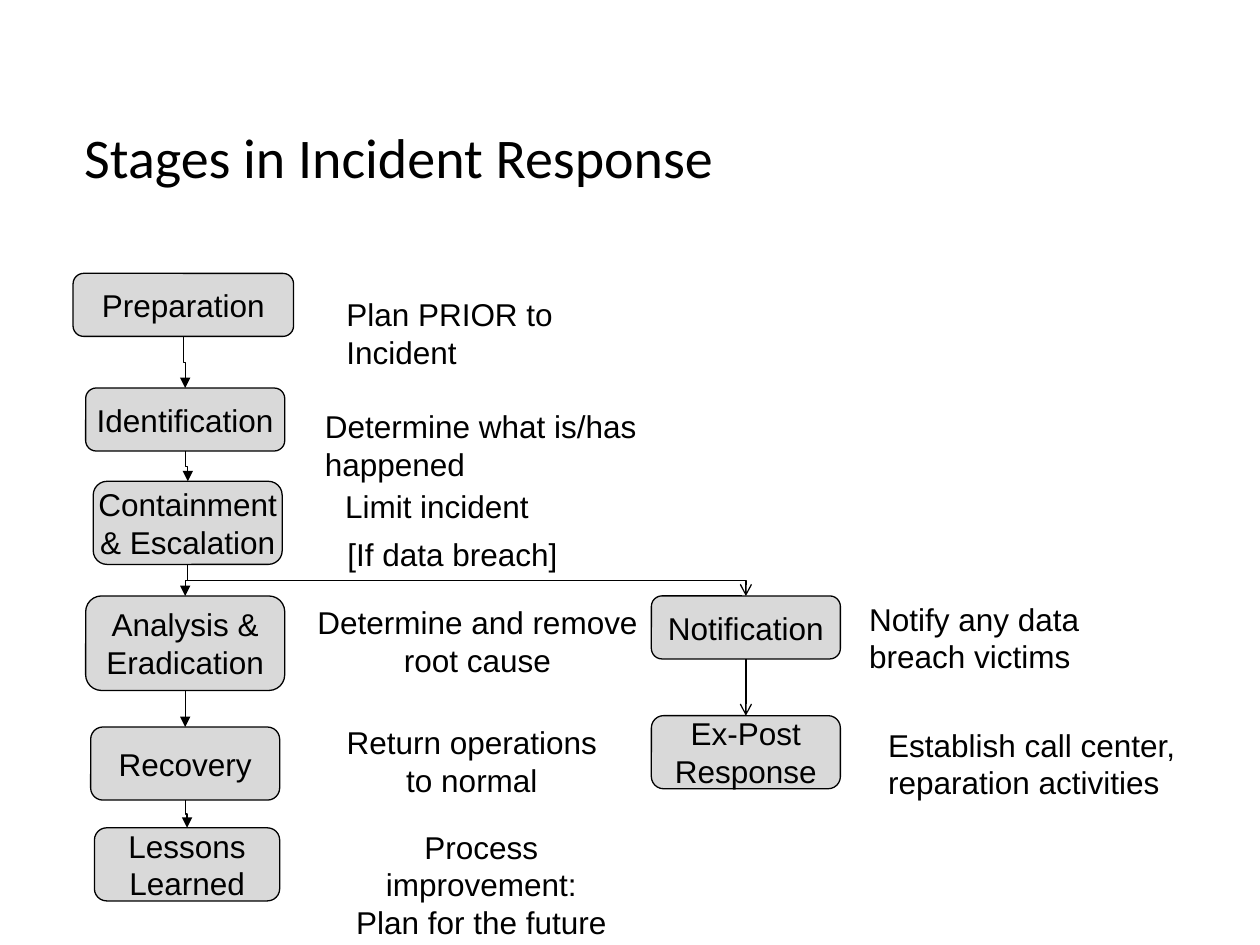
from itertools import pairwise

from pptx import Presentation
from pptx.dml.color import RGBColor
from pptx.enum.shapes import MSO_CONNECTOR, MSO_SHAPE
from pptx.enum.text import MSO_ANCHOR, MSO_AUTO_SIZE, PP_ALIGN
from pptx.oxml.ns import qn
from pptx.util import Inches, Pt
from lxml import etree

ROUND = MSO_SHAPE.ROUNDED_RECTANGLE
ELBOW = MSO_CONNECTOR.ELBOW
STRAIGHT = MSO_CONNECTOR.STRAIGHT
LEFT = PP_ALIGN.LEFT
CENTER = PP_ALIGN.CENTER
MIDDLE = MSO_ANCHOR.MIDDLE
TOP = MSO_ANCHOR.TOP
GROW = MSO_AUTO_SIZE.SHAPE_TO_FIT_TEXT

STAGES = [
    (0.58, 2.17, 1.75, 0.5, "Preparation"),
    (0.68, 3.08, 1.58, 0.5, "Identification"),
    (0.74, 3.82, 1.5, 0.66, "Containment\n& Escalation"),
    (0.68, 4.73, 1.58, 0.75, "Analysis &\nEradication"),
    (0.72, 5.77, 1.5, 0.58, "Recovery"),
    (0.75, 6.57, 1.47, 0.58, "Lessons\nLearned"),
]
BREACH = [
    (5.17, 4.73, 1.5, 0.5, "Notification"),
    (5.17, 5.68, 1.5, 0.58, "Ex-Post\nResponse"),
]
NOTES = [
    (2.65, 2.29, 2.78, 0.4, "Plan PRIOR to Incident", LEFT),
    (2.48, 3.18, 3.85, 0.4, "Determine what is/has happened", LEFT),
    (2.64, 3.82, 1.66, 0.4, "Limit incident", LEFT),
    (2.66, 4.2, 1.87, 0.4, "[If data breach]", LEFT),
    (2.42, 4.74, 2.74, 0.7, "Determine and remove\nroot cause", CENTER),
    (2.65, 5.69, 2.19, 0.7, "Return operations\nto normal", CENTER),
    (2.48, 6.52, 2.68, 0.7, "Process improvement:\nPlan for the future", CENTER),
    (6.8, 4.71, 1.93, 0.7, "Notify any data\nbreach victims", LEFT),
    (6.95, 5.71, 2.49, 0.7, "Establish call center,\nreparation activities", LEFT),
]


def color(code):
    return RGBColor.from_string(code)


class Deck:
    ink = "000000"
    gray = "D9D9D9"
    body = "Arial"
    head = "Calibri"
    width = Pt(0.75)

    def __init__(self, slide):
        self.slide = slide

    def label(self, shape, text, align, anchor=TOP, font=body, size=18):
        frame = shape.text_frame
        frame.text = text
        frame.word_wrap = False
        frame.vertical_anchor = anchor
        for para in frame.paragraphs:
            para.alignment = align
            para.font.name = font
            para.font.size = Pt(size)
            para.font.color.rgb = color(self.ink)
        return frame

    def title(self, x, y, w, h, text):
        box = self.slide.shapes.add_textbox(*map(Inches, (x, y, w, h)))
        frame = self.label(box, text, LEFT, MIDDLE, self.head, 32)
        frame.word_wrap = True
        frame.paragraphs[0].line_spacing = 0.9

    def note(self, x, y, w, h, text, align):
        box = self.slide.shapes.add_textbox(*map(Inches, (x, y, w, h)))
        self.label(box, text, align).auto_size = GROW

    def stage(self, x, y, w, h, text):
        box = self.slide.shapes.add_shape(ROUND, *map(Inches, (x, y, w, h)))
        box.shadow.inherit = False
        box.fill.solid()
        box.fill.fore_color.rgb = color(self.gray)
        box.line.color.rgb = color(self.ink)
        box.line.width = self.width
        self.label(box, text, CENTER, MIDDLE)
        return box

    def finish(self, link, tip):
        """Style a connector and give its end an arrowhead."""
        link.line.color.rgb = color(self.ink)
        link.line.width = self.width
        props = link._element.spPr
        etree.SubElement(props.find(qn("a:ln")), qn("a:tailEnd"), type=tip)
        etree.SubElement(props, qn("a:effectLst"))

    def bend(self, start, end, tip="triangle"):
        """Draw a down-across-down arrow between two boxes."""
        x1, y1 = start.left + start.width // 2, start.top + start.height
        x2, y2 = end.left + end.width // 2, end.top
        # The elbow runs sideways by default, so lay it flat and turn it.
        mid_x, mid_y = (x1 + x2) // 2, (y1 + y2) // 2
        right = x2 > x1
        half_w = (y2 - y1) // 2 * (1 if right else -1)
        half_h = abs(x2 - x1) // 2
        link = self.slide.shapes.add_connector(
            ELBOW, mid_x + half_w, mid_y - half_h, mid_x - half_w, mid_y + half_h)
        turn = 270 if right else 90
        link._element.spPr.find(qn("a:xfrm")).set("rot", str(turn * 60000))
        self.finish(link, tip)

    def drop(self, start, end, tip="arrow"):
        """Draw a straight arrow from one box down to the next."""
        link = self.slide.shapes.add_connector(STRAIGHT, 0, 0, 0, 0)
        link.begin_connect(start, 2)
        link.end_connect(end, 0)
        self.finish(link, tip)


def main():
    prs = Presentation()
    prs.slide_width, prs.slide_height = Inches(10), Inches(7.5)
    deck = Deck(prs.slides.add_slide(prs.slide_layouts[6]))

    deck.title(0.57, 1, 8.92, 0.54, "Stages in Incident Response")
    stages = [deck.stage(*item) for item in STAGES]
    for start, end in pairwise(stages):
        deck.bend(start, end)
    for item in NOTES:
        deck.note(*item)

    notify, respond = [deck.stage(*item) for item in BREACH]
    contain = stages[2]
    deck.bend(contain, notify, "arrow")
    deck.drop(notify, respond)
    prs.save("out.pptx")


if __name__ == "__main__":
    main()
